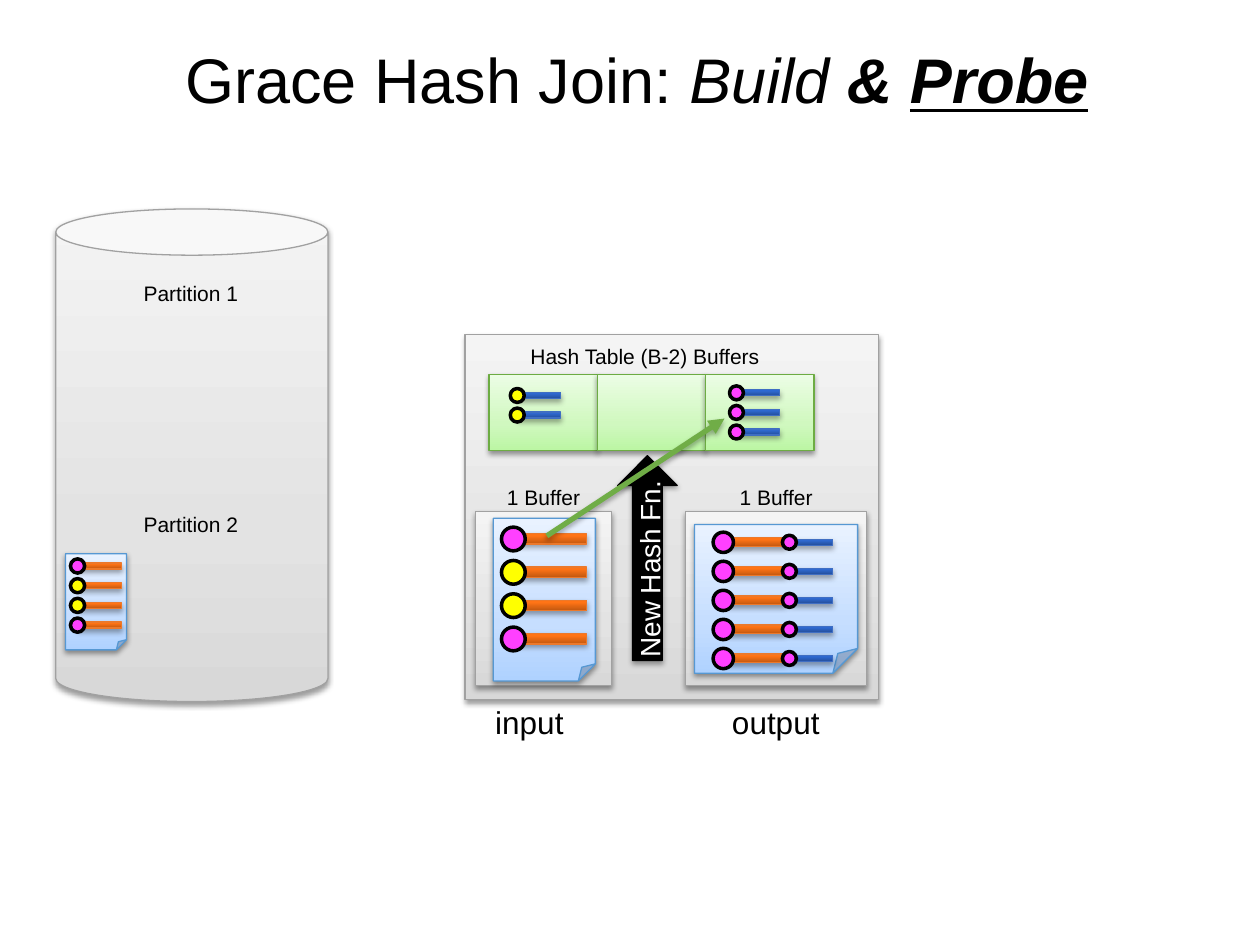
from pptx import Presentation
from pptx import util as u
from pptx.dml.color import RGBColor
from pptx.enum import shapes, text
from pptx.oxml import parse_xml
from pptx.oxml.ns import nsdecls, qn

Pt = u.Pt
BLACK = RGBColor(0x00, 0x00, 0x00)
WHITE = RGBColor(0xFF, 0xFF, 0xFF)
PINK = RGBColor(0xFF, 0x40, 0xFF)
YELLOW = RGBColor(0xFF, 0xFF, 0x00)
ARROW_GREEN = RGBColor(0x70, 0xAD, 0x47)


def style(line, bottom, middle, top, position=35):
    """Return a line colour with the gradient stops from bottom to top."""
    stops = ((0, bottom), (position, middle), (100, top))
    return (RGBColor.from_string(line),
            [(place, RGBColor.from_string(colour)) for place, colour in stops])


GRAY = style("A1A1A1", "D8D8D8", "E3E3E3", "F4F4F4")
GREEN = style("6DAC43", "BCF6A4", "D0F8BF", "ECFDE5")
PAPER = style("5698D3", "AFD2FF", "C6DEFF", "E9F2FF")
ORANGE = style("EC792B", "C3580F", "FF7416", "FF7517", 80)
BLUE = style("3F6EC3", "24509E", "2F69D0", "2C69D4", 80)


def add_shadow(shape, opacity=38, distance=1.6):
    """Give a shape or connector a soft shadow straight below it."""
    properties = shape._element.spPr
    for effects in properties.findall(qn("a:effectLst")):
        properties.remove(effects)
    properties.append(parse_xml(
        f'<a:effectLst {nsdecls("a")}><a:outerShdw blurRad="{Pt(3)}" '
        f'dist="{Pt(distance)}" dir="5400000" rotWithShape="0"><a:srgbClr val="000000">'
        f'<a:alpha val="{opacity * 1000}"/></a:srgbClr></a:outerShdw></a:effectLst>'))


def add_solid(slide, kind, box, fill, line_width):
    """Add a flat shape with a black outline."""
    shape = slide.shapes.add_shape(kind, *map(Pt, box))
    shape.shadow.inherit = False
    shape.fill.solid()
    shape.fill.fore_color.rgb = fill
    shape.line.color.rgb = BLACK
    shape.line.width = Pt(line_width)
    return shape


def add_gradient(slide, kind, box, look, **shadow):
    """Add a shape with a vertical gradient and a shadow."""
    line, stops = look
    shape = slide.shapes.add_shape(kind, *map(Pt, box))
    shape.fill.gradient()
    shape.fill.gradient_angle = 90
    stop_list = shape._element.spPr.find(qn("a:gradFill")).find(qn("a:gsLst"))
    for stop in list(stop_list):
        stop_list.remove(stop)
    for place, colour in stops:
        stop_list.append(parse_xml(
            f'<a:gs {nsdecls("a")} pos="{place * 1000}"><a:srgbClr val="{colour}"/></a:gs>'))
    shape.line.color.rgb = line
    shape.line.width = Pt(0.75)
    add_shadow(shape, **shadow)
    return shape


def add_label(slide, box, runs, size=12, colour=BLACK, wrap=False, centred=False):
    """Add a text box made of the given runs."""
    label = slide.shapes.add_textbox(*map(Pt, box))
    frame = label.text_frame
    frame.word_wrap = wrap
    frame.margin_left = frame.margin_right = Pt(3.6)
    frame.margin_top = frame.margin_bottom = Pt(3.6)
    paragraph = frame.paragraphs[0]
    paragraph.alignment = text.PP_ALIGN.CENTER if centred else text.PP_ALIGN.LEFT
    for words in runs:
        run = paragraph.add_run()
        run.text = words
        run.font.name = "Arial"
        run.font.size = Pt(size)
        run.font.color.rgb = colour
    return label


def add_title(slide, box):
    """Add the title with its emphasised last words."""
    title = add_label(slide, box, ["Grace Hash Join: ", "Build", " & ", "Probe"], 36, wrap=True)
    title.text_frame.vertical_anchor = text.MSO_ANCHOR.MIDDLE
    _, build, ampersand, probe = title.text_frame.paragraphs[0].runs
    for run in (build, ampersand, probe):
        run.font.italic = True
    ampersand.font.bold = probe.font.bold = True
    probe.font.underline = True


def add_record(slide, left, top, size, key, look):
    """Add a record: a bar whose key is a dot of the given size."""
    bar = (left + 0.56 * size, top + 0.28 * size, 3.03 * size, 0.43 * size)
    add_gradient(slide, shapes.MSO_SHAPE.RECTANGLE, bar, look, opacity=35, distance=1.8)
    add_solid(slide, shapes.MSO_SHAPE.OVAL, (left, top, size, size), key, 2)


def add_input_page(slide, box):
    """Add a page of four probe records, scaled to its box."""
    left, top, width, height = box
    add_gradient(slide, shapes.MSO_SHAPE.FOLDED_CORNER, box, PAPER)
    for row, key in enumerate((PINK, YELLOW, YELLOW, PINK)):
        add_record(slide, left + 0.08 * width, top + (0.054 + 0.205 * row) * height,
                   0.233 * width, key, ORANGE)


def add_output_page(slide, box):
    """Add a page of five joined records."""
    left, top, _, _ = box
    add_gradient(slide, shapes.MSO_SHAPE.FOLDED_CORNER, box, PAPER)
    for row in range(5):
        row_top = top + 4.4 + 16.6 * row
        add_record(slide, left + 10.6, row_top, 11.6, PINK, ORANGE)
        add_record(slide, left + 50.2, row_top + 1.8, 8, PINK, BLUE)


def add_disk(slide, box):
    """Add the disk with its two partitions."""
    left, top, width, _ = box
    disk = add_gradient(slide, shapes.MSO_SHAPE.CAN, box, GRAY)
    disk.adjustments[0] = 0.17
    for name, offset in (("Partition 1", 37.5), ("Partition 2", 169.2)):
        add_label(slide, (left + 46.6, top + offset, 62.6, 21), [name])
    add_input_page(slide, (left + 5.6, top + 197, 34.8, 55))


def add_hash_table(slide, box):
    """Add three buckets and the build records in them."""
    left, top, width, height = box
    bucket = width / 3
    for column in range(3):
        add_gradient(slide, shapes.MSO_SHAPE.RECTANGLE,
                     (left + column * bucket, top, bucket, height), GREEN)
    for column, inset, first, key, count in ((0, 12.2, 8, YELLOW, 2), (2, 13.6, 6.5, PINK, 3)):
        for row in range(count):
            add_record(slide, left + column * bucket + inset, top + first + 11.2 * row,
                       8, key, BLUE)


def add_buffer(slide, box):
    """Add a buffer frame with its label above."""
    left, top, width, _ = box
    add_gradient(slide, shapes.MSO_SHAPE.RECTANGLE, box, GRAY)
    add_label(slide, (left, top - 18.9, width, 21), ["1 Buffer"], wrap=True, centred=True)


def add_hash_function(slide, centre_x, centre_y):
    """Add the upward block arrow and its turned label."""
    arrow = add_solid(slide, shapes.MSO_SHAPE.RIGHT_ARROW,
                      (centre_x - 58.5, centre_y - 17, 117, 34), BLACK, 0.75)
    add_shadow(arrow, opacity=35, distance=1.8)
    label = add_label(slide, (centre_x - 60.5, centre_y - 12.2, 121, 24.4),
                      ["New Hash Fn."], 16, WHITE, wrap=True)
    arrow.rotation = label.rotation = 270


def add_probe_arrow(slide, start, end):
    """Add the arrow from a probe record to its bucket."""
    arrow = slide.shapes.add_connector(shapes.MSO_CONNECTOR.STRAIGHT, *map(Pt, start + end))
    arrow.line.color.rgb = ARROW_GREEN
    arrow.line.width = Pt(3)
    arrow.get_or_add_ln().append(parse_xml(f'<a:tailEnd {nsdecls("a")} type="triangle"/>'))
    add_shadow(arrow, opacity=35, distance=1.8)


def add_memory(slide, box):
    """Add the memory frame with hash table, buffers and arrows."""
    left, top, _, height = box
    add_gradient(slide, shapes.MSO_SHAPE.RECTANGLE, box, GRAY)
    add_label(slide, (left + 33.8, top + 2, 138.2, 21), ["Hash Table (B-2) Buffers"])
    add_hash_table(slide, (left + 13.7, top + 23, 185.8, 43.4))
    add_buffer(slide, (left + 6, top + 101.4, 77.8, 99.4))
    add_buffer(slide, (left + 126, top + 101.4, 103.7, 99.4))
    add_hash_function(slide, left + 104.3, top + 127.9)
    add_input_page(slide, (left + 16.2, top + 105.2, 58.3, 92.9))
    add_output_page(slide, (left + 131.2, top + 108.7, 93.2, 85))
    add_probe_arrow(slide, (left + 46.8, top + 115.2), (left + 148.3, top + 48.2))
    for name, offset, width in (("input", 13.7, 48.2), ("output", 149, 60.5)):
        add_label(slide, (left + offset, top + height - 1.4, width, 28.8), [name], 18)


def main():
    """Build the slide and save it."""
    presentation = Presentation()
    presentation.slide_width = Pt(720)
    presentation.slide_height = Pt(540)
    slide = presentation.slides.add_slide(presentation.slide_layouts[6])
    add_title(slide, (102.2, 0, 563.8, 90))
    add_disk(slide, (31.9, 119.4, 155.5, 281.5))
    add_memory(slide, (265.7, 191, 236.2, 208.8))
    presentation.save("out.pptx")


if __name__ == "__main__":
    main()
